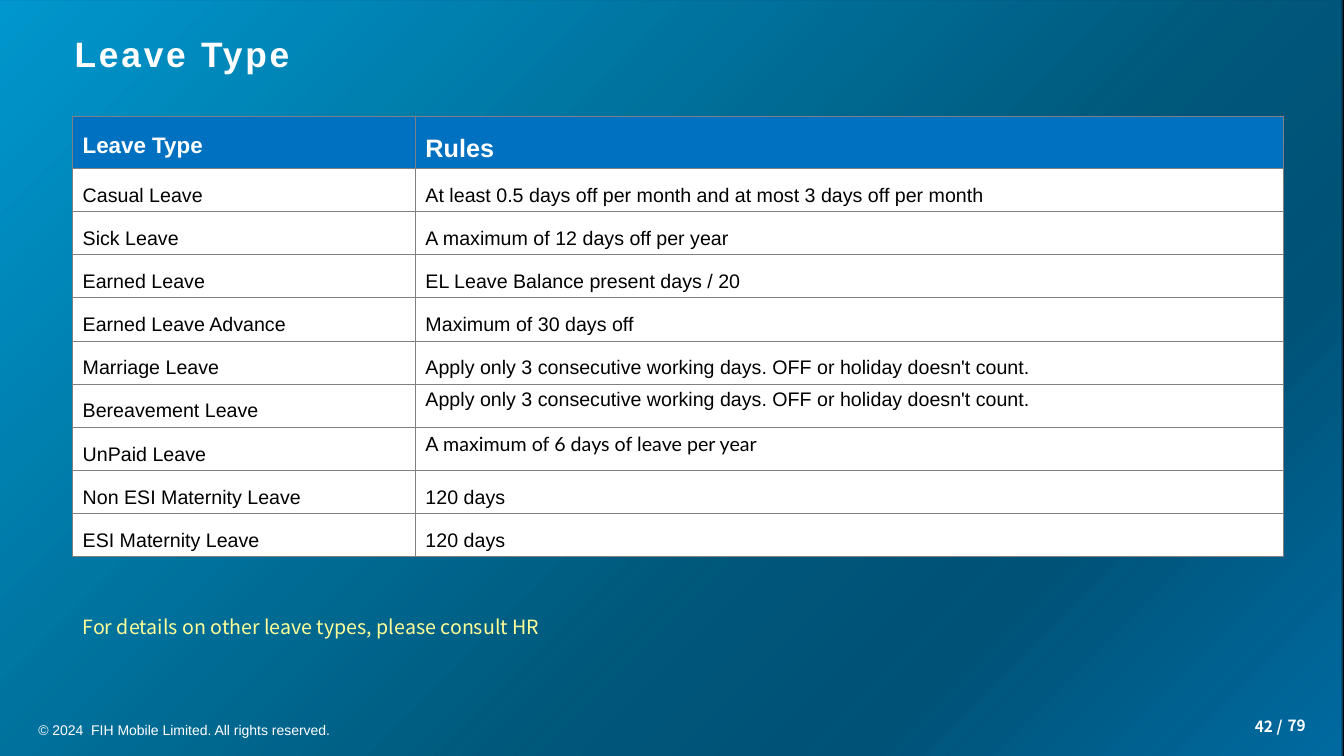
"""Build the leave type slide: a rules table on a blue gradient."""
from dataclasses import dataclass

from lxml.etree import SubElement
from pptx import Presentation
from pptx.dml.color import RGBColor
from pptx.enum.shapes import MSO_SHAPE as Shape
from pptx.enum.text import MSO_ANCHOR as Anchor, MSO_AUTO_SIZE as AutoSize, PP_ALIGN as Align
from pptx.oxml import parse_xml
from pptx.oxml.ns import nsdecls, qn
from pptx.util import Inches, Pt

COLORS = {
    "night": "00060D",
    "white": "FFFFFF",
    "black": "000000",
    "header": "0070C0",
    "border": "808080",
    "note": "FFFF99",
}
GLOW = [(0, "00B0F0", 85), (60, "00B0F0", 48), (77, "00A0E4", 49), (99, "0090D8", 72)]
CJK = "Noto Sans CJK SC"


@dataclass(frozen=True)
class TextStyle:
    size: float
    color: str
    font: str = "Arial"
    bold: bool = False
    spacing: float = 1.0
    align: Align = Align.LEFT


@dataclass(frozen=True)
class Label:
    text: str
    box: tuple[float, float, float, float]
    style: TextStyle
    anchor: Anchor = Anchor.MIDDLE
    inset: bool = True
    indent: float = 0


@dataclass(frozen=True)
class Leave:
    name: str
    rule: str
    rule_font: str = "Arial"
    rule_spacing: float = 1.5


TITLE = Label("Leave Type", (0.64, 0.3, 12.03, 0.52),
              TextStyle(25.2, "white", bold=True, spacing=0.9))
LABELS = [
    Label("© 2024  FIH Mobile Limited. All rights reserved.", (0.37, 7.18, 7.97, 0.15),
          TextStyle(10, "white", spacing=0.91), Anchor.TOP, False, 0.01),
    Label("42 /", (12, 7.11, 0.72, 0.19),
          TextStyle(11, "white", CJK, True, align=Align.RIGHT), inset=False, indent=0.06),
    Label("79", (12.5, 7.11, 0.72, 0.18),
          TextStyle(11, "white", CJK, True, align=Align.CENTER)),
    Label("For details on other leave types, please consult HR", (0.72, 5.77, 10.05, 0.78),
          TextStyle(14, "note", CJK, spacing=1.5)),
]
SHORT_BREAK = "Apply only 3 consecutive working days. OFF or holiday doesn't count."
LEAVES = [
    Leave("Casual Leave", "At least 0.5 days off per month and at most 3 days off per month"),
    Leave("Sick Leave", "A maximum of 12 days off per year"),
    Leave("Earned Leave", "EL Leave Balance present days / 20"),
    Leave("Earned Leave Advance", "Maximum of 30 days off"),
    Leave("Marriage Leave", SHORT_BREAK),
    Leave("Bereavement Leave", SHORT_BREAK, rule_spacing=1.0),
    Leave("UnPaid Leave", "A maximum of 6 days of leave per year", "Lato", 1.0),
    Leave("Non ESI Maternity Leave", "120 days"),
    Leave("ESI Maternity Leave", "120 days"),
]


def rgb(name: str) -> RGBColor:
    return RGBColor.from_string(COLORS[name])


def write(frame, text: str, style: TextStyle) -> None:
    frame.text = text
    paragraph = frame.paragraphs[0]
    paragraph.alignment = style.align
    paragraph.line_spacing = style.spacing
    font = paragraph.font
    font.name, font.size, font.bold = style.font, Pt(style.size), style.bold
    font.color.rgb = rgb(style.color)


def paint_background(slide) -> None:
    slide.background.fill.solid()
    slide.background.fill.fore_color.rgb = rgb("night")
    glow = slide.shapes.add_shape(Shape.RECTANGLE, Inches(-0.01), 0, Inches(13.33), Inches(7.5))
    glow.shadow.inherit = False
    glow.line.fill.background()
    stops = "".join(
        f'<a:gs pos="{pos * 1000}"><a:srgbClr val="{color}">'
        f'<a:alpha val="{alpha * 1000}"/></a:srgbClr></a:gs>'
        for pos, color, alpha in GLOW)
    gradient = parse_xml(
        f'<a:gradFill {nsdecls("a")} rotWithShape="1"><a:gsLst>{stops}</a:gsLst>'
        '<a:lin ang="2700000" scaled="0"/></a:gradFill>')
    glow.element.spPr.find(qn("a:prstGeom")).addnext(gradient)
    slide.shapes.element.insert(2, glow.element)


def set_title(slide) -> None:
    title = slide.shapes.title
    title.left, title.top, title.width, title.height = map(Inches, TITLE.box)
    frame = title.text_frame
    frame.auto_size = AutoSize.NONE
    frame.vertical_anchor = TITLE.anchor
    write(frame, TITLE.text, TITLE.style)
    frame.paragraphs[0].runs[0].font._element.set("spc", "200")


def add_label(slide, label: Label) -> None:
    frame = slide.shapes.add_textbox(*map(Inches, label.box)).text_frame
    frame.word_wrap = True
    frame.vertical_anchor = label.anchor
    if not label.inset:
        frame.margin_left = frame.margin_top = frame.margin_right = frame.margin_bottom = 0
    write(frame, label.text, label.style)
    if label.indent:
        frame.paragraphs[0]._p.get_or_add_pPr().set("marL", str(Inches(label.indent)))


def fill_cell(cell, text: str, style: TextStyle, fill: str) -> None:
    write(cell.text_frame, text, style)
    properties = cell._tc.get_or_add_tcPr()
    for side in ("lnL", "lnR", "lnT", "lnB"):
        border = SubElement(properties, qn(f"a:{side}"), w=str(Pt(0.5)))
        solid = SubElement(border, qn("a:solidFill"))
        SubElement(solid, qn("a:srgbClr"), val=COLORS["border"])
    cell.fill.solid()
    cell.fill.fore_color.rgb = rgb(fill)


def add_leave_table(slide) -> None:
    table = slide.shapes.add_table(
        len(LEAVES) + 1, 2, *map(Inches, (0.72, 1.15, 12.01, 3.68))).table
    for column, width in zip(table.columns, (3.4, 8.61)):
        column.width = Inches(width)
    for index, row in enumerate(table.rows):
        row.height = Inches(0.36 if index else 0.44)
    for column, (heading, size) in enumerate((("Leave Type", 16), ("Rules", 18))):
        style = TextStyle(size, "white", bold=True, spacing=1.5)
        fill_cell(table.cell(0, column), heading, style, "header")
    for row, leave in enumerate(LEAVES, start=1):
        name_style = TextStyle(14, "black", spacing=1.5)
        rule_style = TextStyle(14, "black", leave.rule_font, spacing=leave.rule_spacing)
        fill_cell(table.cell(row, 0), leave.name, name_style, "white")
        fill_cell(table.cell(row, 1), leave.rule, rule_style, "white")


def main() -> None:
    deck = Presentation()
    deck.slide_width, deck.slide_height = Inches(13.33), Inches(7.5)
    slide = deck.slides.add_slide(deck.slide_layouts[5])
    paint_background(slide)
    set_title(slide)
    add_leave_table(slide)
    for label in LABELS:
        add_label(slide, label)
    deck.save("out.pptx")


if __name__ == "__main__":
    main()
